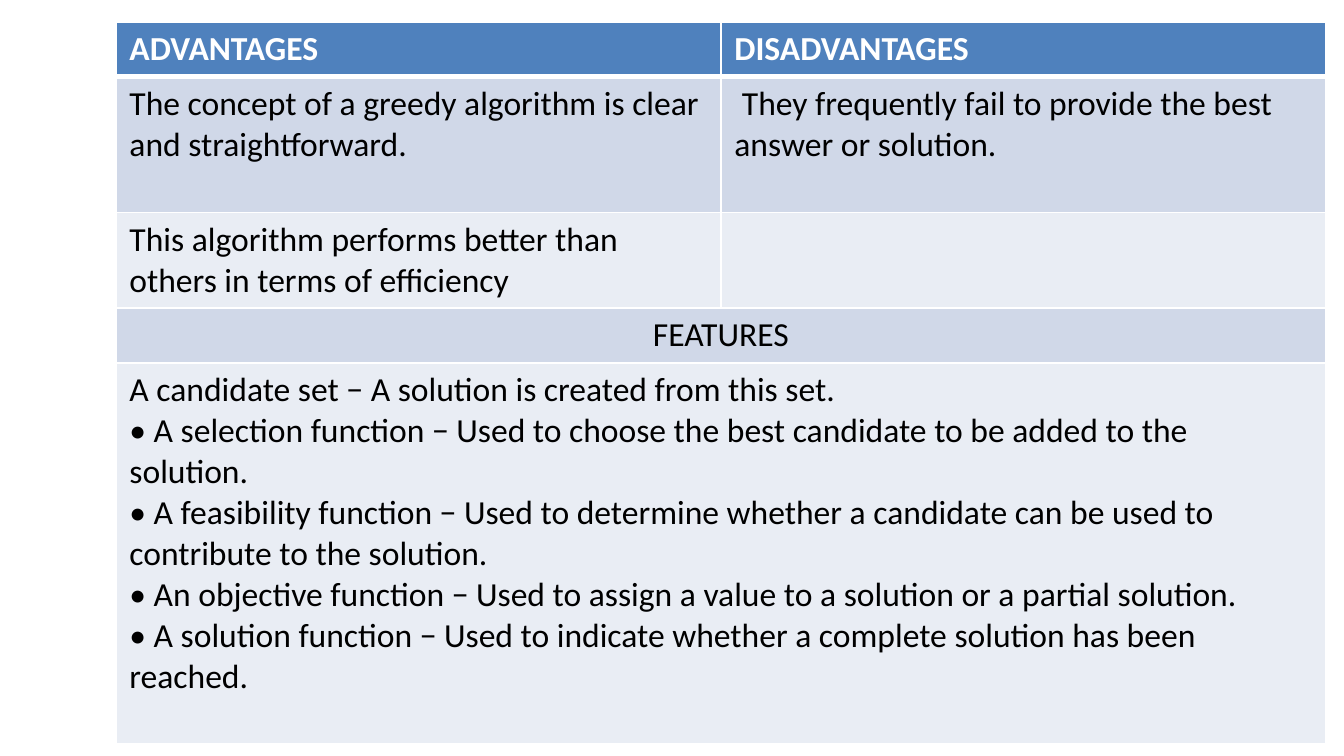
from dataclasses import dataclass

from lxml.etree import SubElement
from pptx import Presentation
from pptx.dml.color import RGBColor
from pptx.enum.text import PP_ALIGN
from pptx.oxml.ns import qn
from pptx.util import Pt

HEADINGS = ("ADVANTAGES", "DISADVANTAGES")
COMPARISONS = [
    (
        "The concept of a greedy algorithm is clear and straightforward.",
        " They frequently fail to provide the best answer or solution.",
    ),
    ("This algorithm performs better than others in terms of efficiency", ""),
]
FEATURES_TITLE = "FEATURES"
FEATURES = [
    "A candidate set − A solution is created from this set.",
    "• A selection function − Used to choose the best candidate to be added to the solution.",
    "• A feasibility function − Used to determine whether a candidate can be used to contribute to the solution.",
    "• An objective function − Used to assign a value to a solution or a partial solution.",
    "• A solution function − Used to indicate whether a complete solution has been reached.",
]

SLIDE_SIZE = (1344, 756)
TABLE_LEFT, TABLE_TOP = 116, 22
COLUMN_WIDTH = 605
ROW_HEIGHTS = [54, 136, 95, 55, 381]


@dataclass(frozen=True)
class Theme:
    font: str = "Calibri"
    size: int = 18
    text: str = "000000"
    heading: str = "FFFFFF"
    heading_fill: str = "4F81BD"
    bands: tuple = ("D0D8E8", "E9EDF4")
    border: str = "FFFFFF"
    border_width: int = 1
    heading_border_width: int = 3


THEME = Theme()


def px(length):
    return round(length * 914400 / 134.4)


def write(cell, text, color=THEME.text, bold=False, align=PP_ALIGN.LEFT):
    cell.text = text
    for paragraph in cell.text_frame.paragraphs:
        paragraph.alignment = align
        for run in paragraph.runs:
            run.font.name = THEME.font
            run.font.size = Pt(THEME.size)
            run.font.bold = bold
            run.font.color.rgb = RGBColor.from_string(color)


def draw_borders(cell, bottom_width):
    properties = cell._tc.get_or_add_tcPr()
    widths = dict.fromkeys(("lnL", "lnR", "lnT"), THEME.border_width)
    widths["lnB"] = bottom_width
    for side, width in widths.items():
        line = SubElement(properties, qn(f"a:{side}"), w=str(Pt(width)))
        fill = SubElement(line, qn("a:solidFill"))
        SubElement(fill, qn("a:srgbClr"), val=THEME.border)


def style_row(table, index):
    is_heading = index == 0
    fill = THEME.heading_fill if is_heading else THEME.bands[(index - 1) % 2]
    bottom_width = THEME.heading_border_width if is_heading else THEME.border_width
    for cell in table.rows[index].cells:
        draw_borders(cell, bottom_width)
        cell.fill.solid()
        cell.fill.fore_color.rgb = RGBColor.from_string(fill)


def main():
    presentation = Presentation()
    presentation.slide_width, presentation.slide_height = map(px, SLIDE_SIZE)
    slide = presentation.slides.add_slide(presentation.slide_layouts[6])
    table = slide.shapes.add_table(
        len(ROW_HEIGHTS), len(HEADINGS), px(TABLE_LEFT), px(TABLE_TOP),
        px(COLUMN_WIDTH * len(HEADINGS)), px(sum(ROW_HEIGHTS)),
    ).table

    for index, height in enumerate(ROW_HEIGHTS):
        table.rows[index].height = px(height)
        style_row(table, index)

    for column, heading in enumerate(HEADINGS):
        write(table.cell(0, column), heading, color=THEME.heading, bold=True)
    for row, comparison in enumerate(COMPARISONS, start=1):
        for column, text in enumerate(comparison):
            write(table.cell(row, column), text)

    title_row = len(COMPARISONS) + 1
    for row in (title_row, title_row + 1):
        table.cell(row, 0).merge(table.cell(row, len(HEADINGS) - 1))
    write(table.cell(title_row, 0), FEATURES_TITLE, align=PP_ALIGN.CENTER)
    write(table.cell(title_row + 1, 0), "\n".join(FEATURES))

    presentation.save("out.pptx")


if __name__ == "__main__":
    main()
